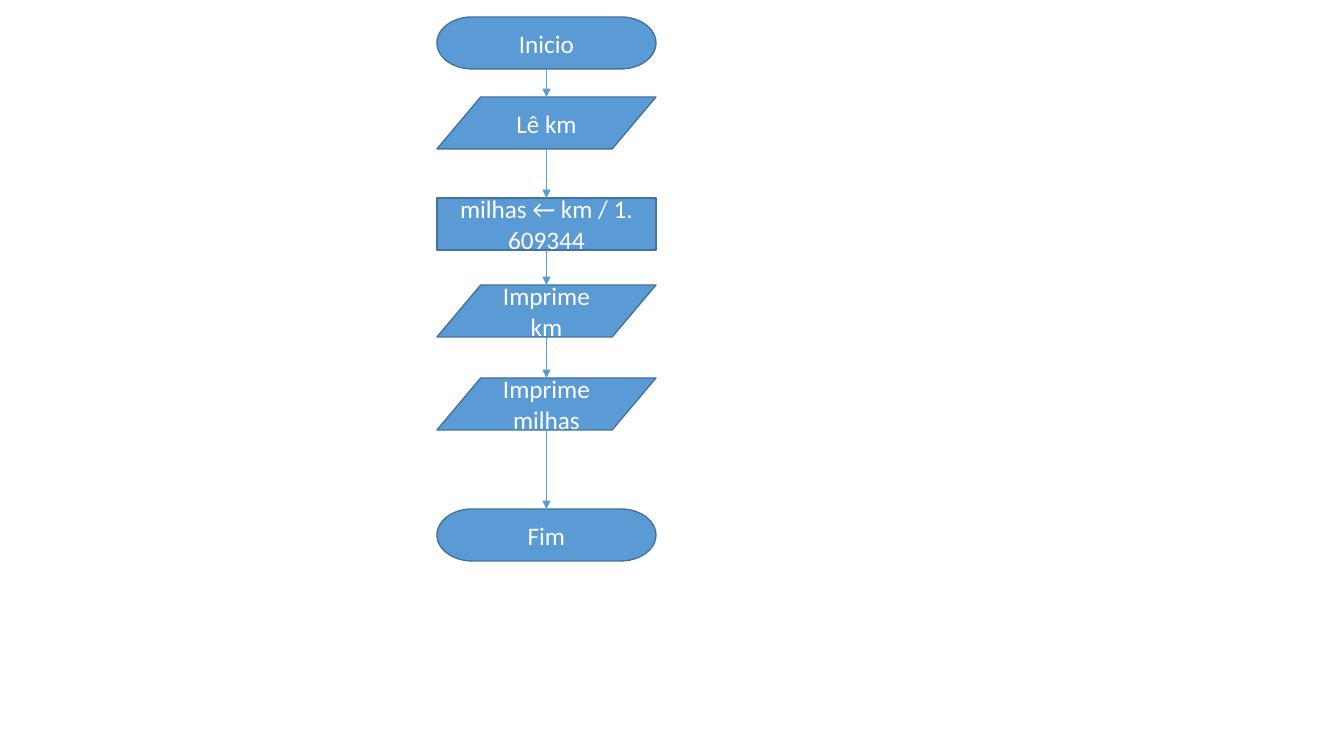
from lxml import etree
from pptx import Presentation
from pptx.dml.color import RGBColor
from pptx.enum.shapes import MSO_CONNECTOR, MSO_SHAPE
from pptx.enum.text import MSO_ANCHOR, PP_ALIGN
from pptx.oxml.ns import qn
from pptx.util import Pt

TERMINATOR = MSO_SHAPE.FLOWCHART_TERMINATOR
DATA = MSO_SHAPE.FLOWCHART_DATA
PROCESS = MSO_SHAPE.RECTANGLE
STRAIGHT = MSO_CONNECTOR.STRAIGHT
MIDDLE = MSO_ANCHOR.MIDDLE
CENTER = PP_ALIGN.CENTER

BLUE = RGBColor(0x5B, 0x9B, 0xD5)
DARK_BLUE = RGBColor(0x43, 0x73, 0x9E)
WHITE = RGBColor(0xFF, 0xFF, 0xFF)
FONT = "Calibri"

PIXELS_PER_INCH = 100.8
EMU_PER_PIXEL = 914400 / PIXELS_PER_INCH
PAGE_WIDTH, PAGE_HEIGHT = 1344, 756
STEP_HEIGHT = 52

STEPS = [
    (TERMINATOR, "Inicio", 0),
    (DATA, "Lê km", 80),
    (PROCESS, "milhas ← km / 1. 609344", 181),
    (DATA, "Imprime km", 268),
    (DATA, "Imprime milhas", 361),
    (TERMINATOR, "Fim", 492),
]


def emu(pixels):
    return round(pixels * EMU_PER_PIXEL)


def add_step(page, kind, text, box):
    step = page.shapes.add_shape(kind, *map(emu, box))
    step.shadow.inherit = False
    step.fill.solid()
    step.fill.fore_color.rgb = BLUE
    step.line.color.rgb = DARK_BLUE
    step.line.width = Pt(1)
    frame = step.text_frame
    frame.word_wrap = True
    frame.vertical_anchor = MIDDLE
    para = frame.paragraphs[0]
    para.alignment = CENTER
    span = para.add_run()
    span.text = text
    span.font.name = FONT
    span.font.size = Pt(18)
    span.font.color.rgb = WHITE


def add_arrow(page, center, start, end):
    arrow = page.shapes.add_connector(
        STRAIGHT, emu(center), emu(start), emu(center), emu(end)
    )
    arrow.line.color.rgb = BLUE
    arrow.line.width = Pt(0.5)
    etree.SubElement(arrow.line._get_or_add_ln(), qn("a:tailEnd"), type="triangle")
    etree.SubElement(arrow._element.spPr, qn("a:effectLst"))


def add_flowchart(page, box):
    left, top, width = box
    for kind, text, offset in STEPS:
        add_step(page, kind, text, (left, top + offset, width, STEP_HEIGHT))
    offsets = [offset for _, _, offset in STEPS]
    for upper, lower in zip(offsets, offsets[1:]):
        add_arrow(page, left + width / 2, top + upper + STEP_HEIGHT, top + lower)


deck = Presentation()
deck.slide_width = emu(PAGE_WIDTH)
deck.slide_height = emu(PAGE_HEIGHT)
blank_layout = deck.slide_layouts[6]
page = deck.slides.add_slide(blank_layout)
add_flowchart(page, (437, 17, 219))
deck.save("out.pptx")
